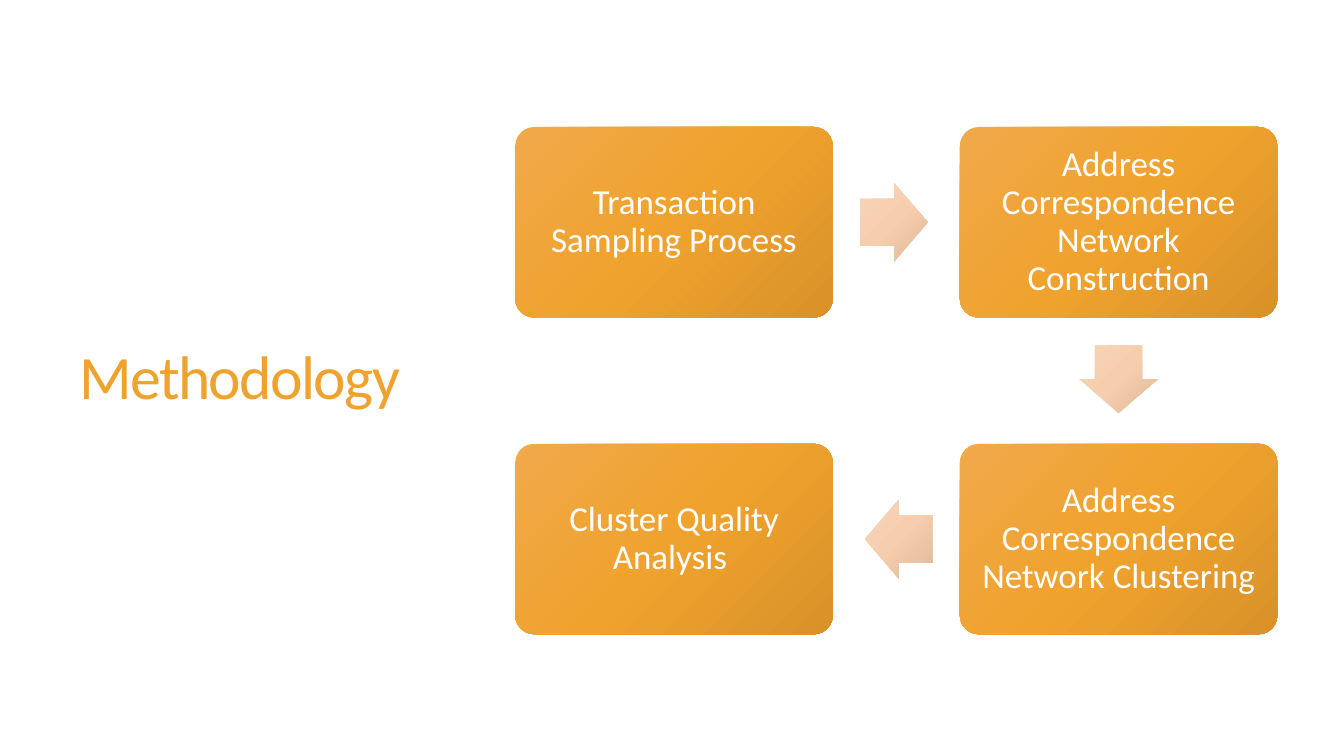
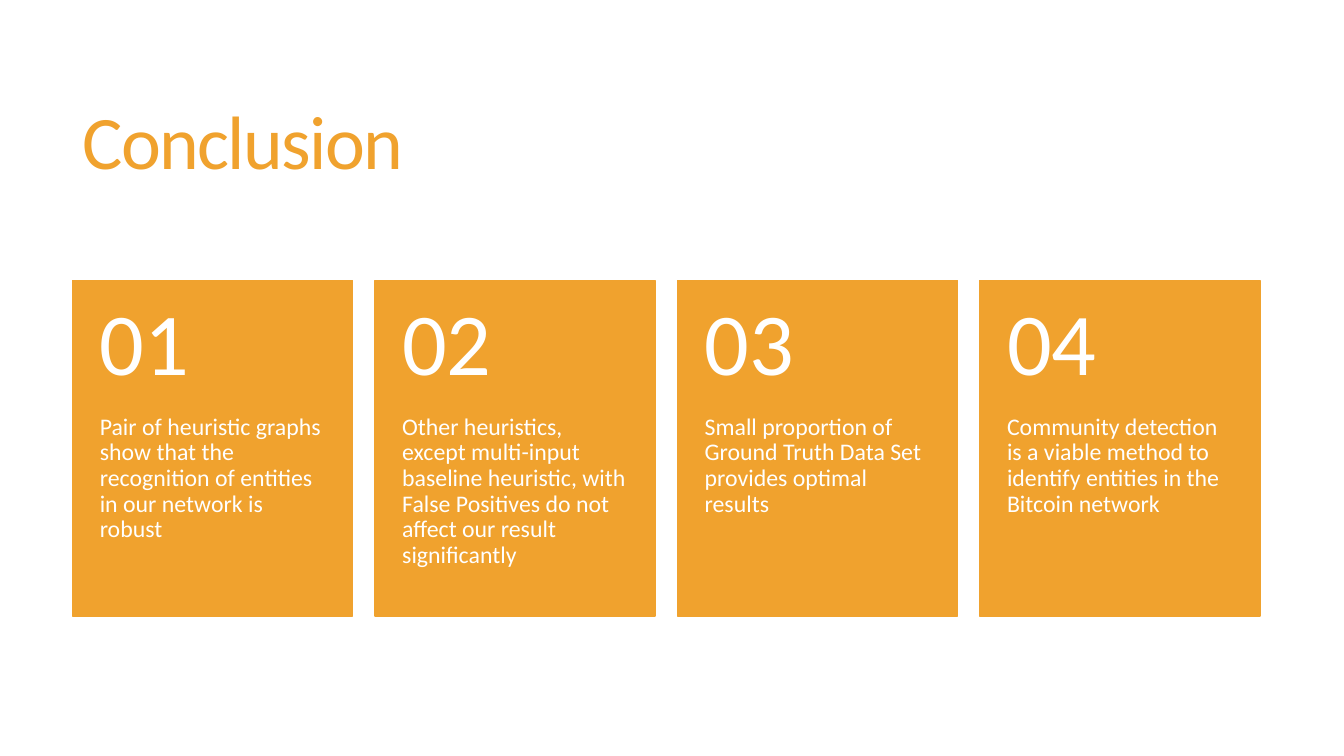
from copy import deepcopy
from pptx import Presentation
from pptx.dml.color import RGBColor
from pptx.enum.shapes import MSO_SHAPE as Form
from pptx.enum.text import MSO_ANCHOR as Anchor, PP_ALIGN as Align
from pptx.oxml.ns import qn
from pptx.util import Inches, Pt

hue = RGBColor.from_string
GOLD, WHITE = "F0A22E", "FFFFFF"
WARM = ["F1A94A", GOLD, "D99228"]
PALE = ["F7D4B8", "F6CEAD", "DEB99A"]

deck = Presentation()
deck.slide_width, deck.slide_height = Inches(13.33), Inches(7.5)
COL, ROW = deck.slide_width / 100, deck.slide_height / 100


def draw(page, form, area, tints):
    x, y, w, h = area
    shape = page.shapes.add_shape(form, int(x * COL), int(y * ROW), int(w * COL), int(h * ROW))
    shape.shadow.inherit = False
    fill = shape.fill
    if len(tints) == 1:
        fill.solid()
        fill.fore_color.rgb = shape.line.color.rgb = hue(tints[0])
        shape.line.width = Pt(1)
        return shape
    shape.line.fill.background()
    fill.gradient()
    fill.gradient_angle = 315
    grad = shape._element.spPr.find(qn("a:gradFill"))
    grad.set("rotWithShape", "0")
    stops = grad.find(qn("a:gsLst"))
    stops.append(deepcopy(stops[0]))
    for i, (stop, tint) in enumerate(zip(fill.gradient_stops, tints)):
        stop.position = i / (len(tints) - 1)
        stop.color.rgb = hue(tint)
    return shape


def write(page, text, size, color=WHITE, area=None, shape=None, pads=(0.1, 0.05, 0.1, 0.05),
          anchor=Anchor.MIDDLE, align=Align.LEFT, lead=0.9, track=0):
    if shape is None:
        x, y, w, h = area
        shape = page.shapes.add_textbox(int(x * COL), int(y * ROW), int(w * COL), int(h * ROW))
    frame = shape.text_frame
    sides = ("margin_left", "margin_top", "margin_right", "margin_bottom")
    look = {"word_wrap": True, "vertical_anchor": anchor, **dict(zip(sides, map(Inches, pads)))}
    para = frame.paragraphs[0]
    run = para.add_run()
    run.text = text
    for part, rules in (
        (frame, look),
        (para, {"alignment": align, "line_spacing": lead}),
        (run.font, {"name": "Calibri", "size": Pt(size)}),
    ):
        for key, value in rules.items():
            setattr(part, key, value)
    run.font.color.rgb = hue(color)
    if track:
        run._r.get_or_add_rPr().set("spc", str(int(track * 100)))


head = {"color": GOLD, "lead": 0.85, "track": -1.2}
blank = deck.slide_layouts[6]

page = deck.slides.add_slide(blank)
write(page, "Methodology", 44, area=(5.18, 9.33, 30.38, 82.13), **head)

wide, tall = 23.63, 25.2
steps = [
    (0, 0, "Transaction Sampling Process"),
    (1, 0, "Address Correspondence Network Construction"),
    (1, 1, "Address Correspondence Network Clustering"),
    (0, 1, "Cluster Quality Analysis "),
]
spots = [(38.33 + 33.08 * c, 16.8 + 41.9 * r) for c, r, _ in steps]
for (x, y), (_, _, label) in zip(spots, steps):
    box = draw(page, Form.ROUNDED_RECTANGLE, (x, y, wide, tall), WARM)
    box.adjustments[0] = 0.1
    write(page, label, 25, shape=box, pads=(0.1,) * 4, align=Align.CENTER)

aw, ah = 5.03, 10.4
for i, ((x, y), (u, v)) in enumerate(zip(spots, spots[1:])):
    left = x + (u - x) * 0.495 + (wide - aw) / 2
    top = y + (v - y) * 0.495 + (tall - ah) / 2
    arrow = draw(page, Form.RIGHT_ARROW, (left, top, aw, ah), PALE)
    arrow.adjustments[0], arrow.adjustments[1] = 0.6, 0.5
    arrow.rotation = 90 * i

page = deck.slides.add_slide(blank)
write(page, "Conclusion", 54, area=(5.4, 7.33, 88.35, 24.13), **head)

points = [
    "Pair of heuristic graphs show that the recognition of entities in our network is robust",
    "Other heuristics, except multi-input baseline heuristic, with False Positives do not affect our result significantly",
    "Small proportion of Ground Truth Data Set provides optimal results",
    "Community detection is a viable method to identify entities in the Bitcoin network",
]
top, wide, tall = 37.07, 20.85, 44.4
cut = tall * 0.4
for i, point in enumerate(points):
    x = 5.4 + 22.5 * i
    draw(page, Form.RECTANGLE, (x, top, wide, tall), [GOLD])
    write(page, point, 17, area=(x, top + cut, wide, tall - cut),
          pads=(0.27, 0, 0.27, 0.36), anchor=Anchor.TOP)
    write(page, f"{i + 1:02}", 63, area=(x, top, wide, cut), pads=(0.27, 0.18, 0.27, 0.18))

deck.save("out.pptx")
